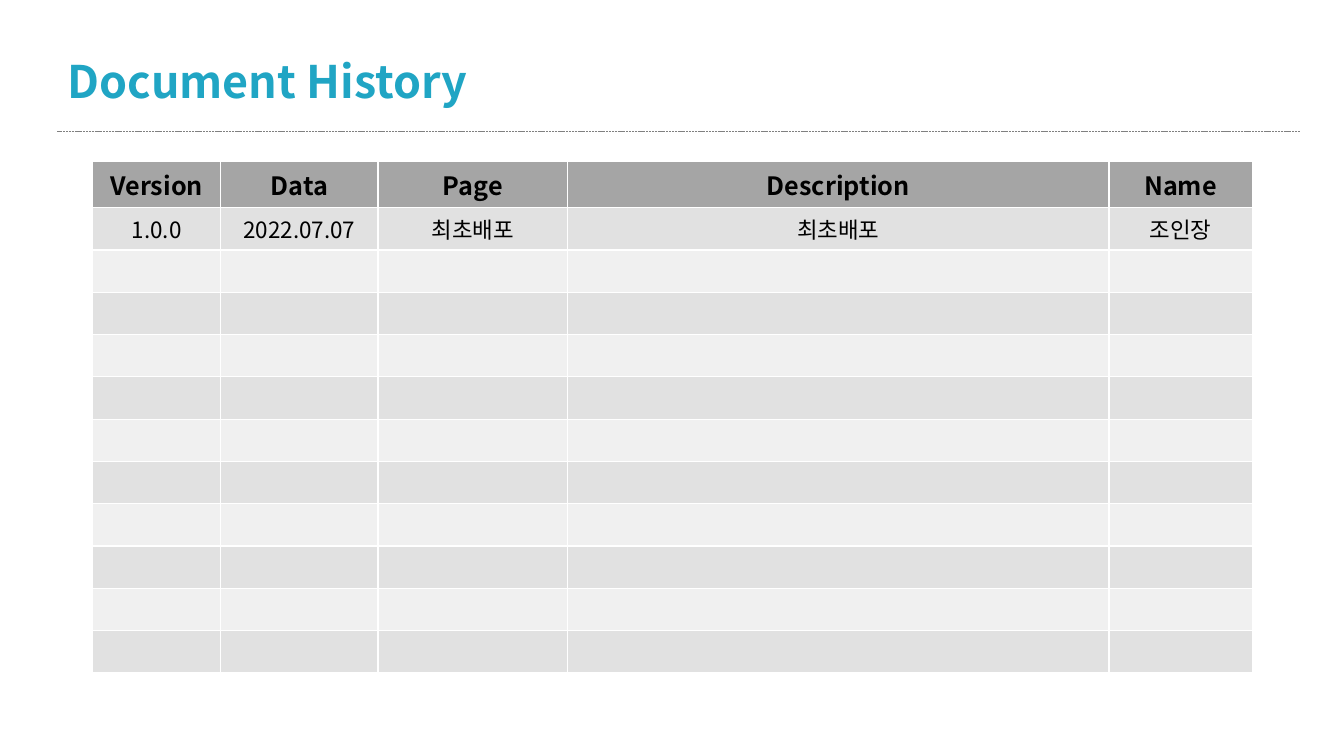
from pptx import Presentation
from pptx import util as u
from pptx.dml.color import RGBColor
from pptx.enum import dml, shapes, text
from pptx.oxml import parse_xml
from pptx.oxml.ns import nsdecls, qn

PX = 9144
HUES = {
    "title": "20A5C4",
    "rule": "808080",
    "head": "A5A5A5",
    "odd": "E1E1E1",
    "even": "F0F0F0",
    "edge": "FFFFFF",
    "ink": "000000",
}


def px(n):
    return u.Emu(n * PX)


def hue(name):
    return RGBColor.from_string(HUES[name])


class Page:
    face = "Noto Sans CJK KR"

    def __init__(self, deck):
        self.slide = deck.slides.add_slide(deck.slide_layouts[6])

    def style(self, par, size, color, bold):
        for run in par.runs:
            font = run.font
            font.name, font.size, font.bold = self.face, u.Pt(size), bold
            font.color.rgb = hue(color)
            east = font._element.makeelement(qn("a:ea"), {"typeface": self.face})
            font._element.find(qn("a:latin")).addnext(east)

    def rule(self, x, y, w):
        line = self.slide.shapes.add_connector(
            shapes.MSO_CONNECTOR.STRAIGHT, px(x), px(y), px(x + w), px(y))
        line.line.color.rgb = hue("rule")
        line.line.width = u.Pt(0.5)
        line.line.dash_style = dml.MSO_LINE.SQUARE_DOT
        props = line._element.spPr
        props.append(props.makeelement(qn("a:effectLst"), {}))

    def title(self, words, x, y, w, h):
        frame = self.slide.shapes.add_textbox(px(x), px(y), px(w), px(h)).text_frame
        frame.word_wrap = True
        frame.vertical_anchor = text.MSO_ANCHOR.MIDDLE
        frame.text = words
        par = frame.paragraphs[0]
        par.line_spacing = 0.9
        self.style(par, 32, "title", True)

    def edges(self, cell):
        props = cell._tc.get_or_add_tcPr()
        for side in "LRTB":
            props.append(parse_xml(
                f'<a:ln{side} {nsdecls("a")} w="12700"><a:solidFill>'
                f'<a:srgbClr val="{HUES["edge"]}"/></a:solidFill></a:ln{side}>'))

    def cell(self, cell, words, fill, size, bold):
        self.edges(cell)
        cell.fill.solid()
        cell.fill.fore_color.rgb = hue(fill)
        cell.vertical_anchor = text.MSO_ANCHOR.MIDDLE
        if words:
            cell.text_frame.text = words
            par = cell.text_frame.paragraphs[0]
            par.alignment = text.PP_ALIGN.CENTER
            self.style(par, size, "ink", bold)

    def table(self, rows, x, y, widths, heights):
        grid = self.slide.shapes.add_table(
            len(rows), len(widths), px(x), px(y),
            px(sum(widths)), px(sum(heights))).table
        for col, w in zip(grid.columns, widths):
            col.width = px(w)
        for i, (row, h) in enumerate(zip(rows, heights)):
            grid.rows[i].height = px(h)
            head = i == 0
            fill = "head" if head else "odd" if i % 2 else "even"
            for j, words in enumerate(row):
                self.cell(grid.cell(i, j), words, fill, 18 if head else 16, head)


def main():
    deck = Presentation()
    deck.slide_width, deck.slide_height = px(1333), px(750)
    page = Page(deck)
    page.rule(57, 130, 1232)
    page.title("Document History", 57, 36, 1232, 94)
    rows = [
        ["Version", "Data", "Page", "Description", "Name"],
        ["1.0.0", "2022.07.07", "최초배포", "최초배포", "조인장"],
    ] + [[""] * 5] * 10
    page.table(rows, 92, 160, [127, 156, 188, 537, 142], [46] + [42] * 11)
    deck.save("out.pptx")


if __name__ == "__main__":
    main()
